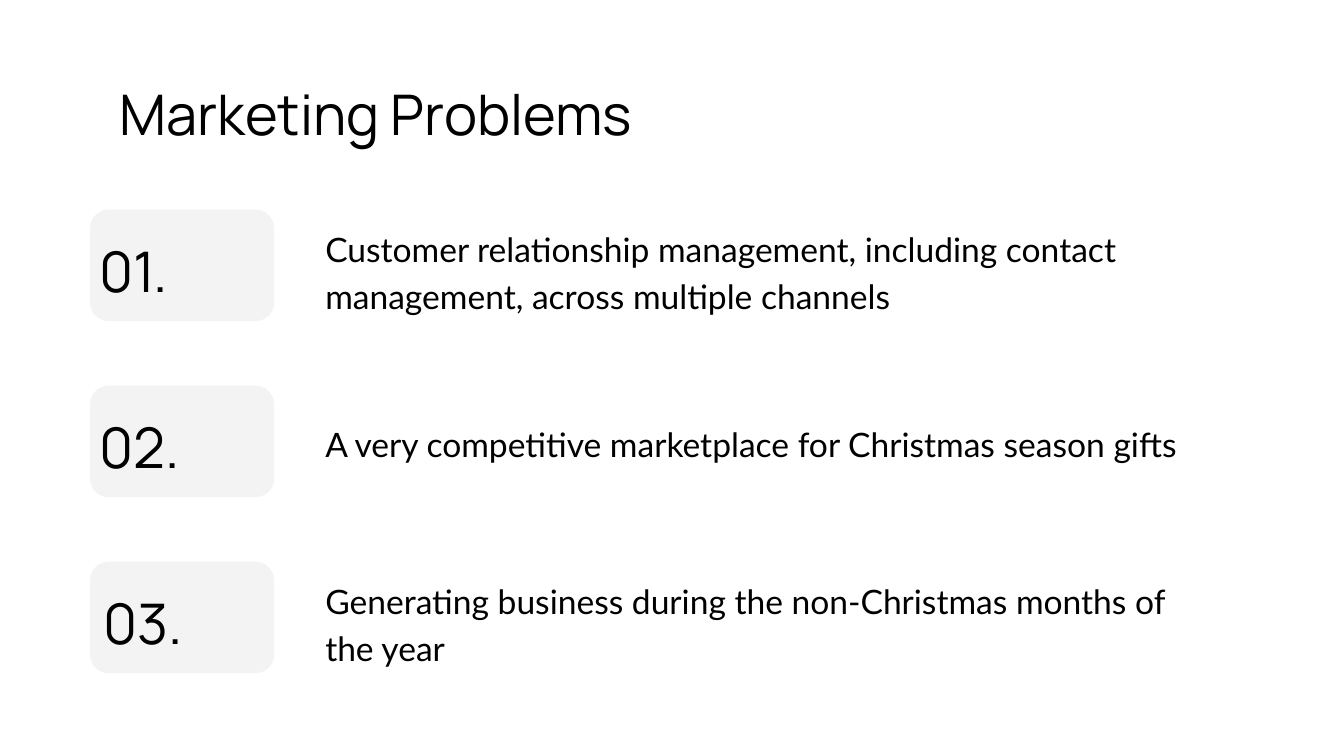
import pptx
import pptx.util
import pptx.dml.color
import pptx.enum.shapes
import pptx.enum.text
import lxml.etree

Inch = pptx.util.Inches
Anchor = pptx.enum.text.MSO_ANCHOR

HEAD = "Marketing Problems"
ROWS = [
    ("01.", 0.64, "Customer relationship management, including contact management, "
     "across multiple channels", Anchor.TOP),
    ("02.", 0.64, "A very competitive marketplace for Christmas season gifts", Anchor.MIDDLE),
    ("03.", 0.67, "Generating business during the non-Christmas months of the year", Anchor.TOP),
]
THEME = {
    "ink": "000000", "card": "F3F3F3", "page": "FFFFFF",
    "head": {"face": "Manrope", "size": 30},
    "body": {"face": "Lato", "size": 18, "line": 1.15, "after": 16},
}
WIDE = 10
TOP, STEP, HIGH = 1.56, 1.31, 0.83


def tint(code):
    return pptx.dml.color.RGBColor.from_string(code)


def place(shape, left, top, width, height):
    shape.left, shape.top = Inch(left), Inch(top)
    shape.width, shape.height = Inch(width), Inch(height)


def write(shape, text, face, size, line=1.0, after=0, anchor=Anchor.TOP):
    frame = shape.text_frame
    frame.auto_size = pptx.enum.text.MSO_AUTO_SIZE.NONE
    frame.word_wrap = True
    frame.vertical_anchor = anchor
    frame.margin_left = frame.margin_right = Inch(0.1)
    frame.margin_top = frame.margin_bottom = Inch(0.1)
    para = frame.paragraphs[0]
    para.text = text
    props = para._p.get_or_add_pPr()
    props.set("marL", "0")
    props.set("indent", "0")
    lxml.etree.SubElement(props, pptx.oxml.ns.qn("a:buNone"))
    para.alignment = pptx.enum.text.PP_ALIGN.LEFT
    para.line_spacing = line
    para.space_before = pptx.util.Pt(0)
    para.space_after = pptx.util.Pt(after)
    font = para.runs[0].font
    font.name, font.size, font.bold = face, pptx.util.Pt(size), False
    font.color.rgb = tint(THEME["ink"])


def main():
    deck = pptx.Presentation()
    deck.slide_width, deck.slide_height = Inch(WIDE), Inch(WIDE * 9 / 16)
    slide = deck.slides.add_slide(deck.slide_layouts[4])
    slide.background.fill.solid()
    slide.background.fill.fore_color.rgb = tint(THEME["page"])

    title, *slots = slide.placeholders
    place(title, 0.79, 0.49, 8.43, 0.63)
    write(title, HEAD, **THEME["head"])

    for i, (mark, left, text, anchor) in enumerate(ROWS):
        top = TOP + i * STEP
        place(slots[i], 2.32, top, 6.59, HIGH)
        write(slots[i], text, anchor=anchor, **THEME["body"])

        card = slide.shapes.add_shape(
            pptx.enum.shapes.MSO_SHAPE.ROUNDED_RECTANGLE,
            Inch(0.67), Inch(top), Inch(1.37), Inch(HIGH))
        card.shadow.inherit = False
        card.fill.solid()
        card.fill.fore_color.rgb = tint(THEME["card"])
        card.line.fill.background()

        label = slide.shapes.add_textbox(
            Inch(left), Inch(top + 0.1), Inch(1.52), Inch(0.63))
        write(label, mark, **THEME["head"])

    for slot in slots[len(ROWS):]:
        slot.element.getparent().remove(slot.element)
    deck.save("out.pptx")


if __name__ == "__main__":
    main()
